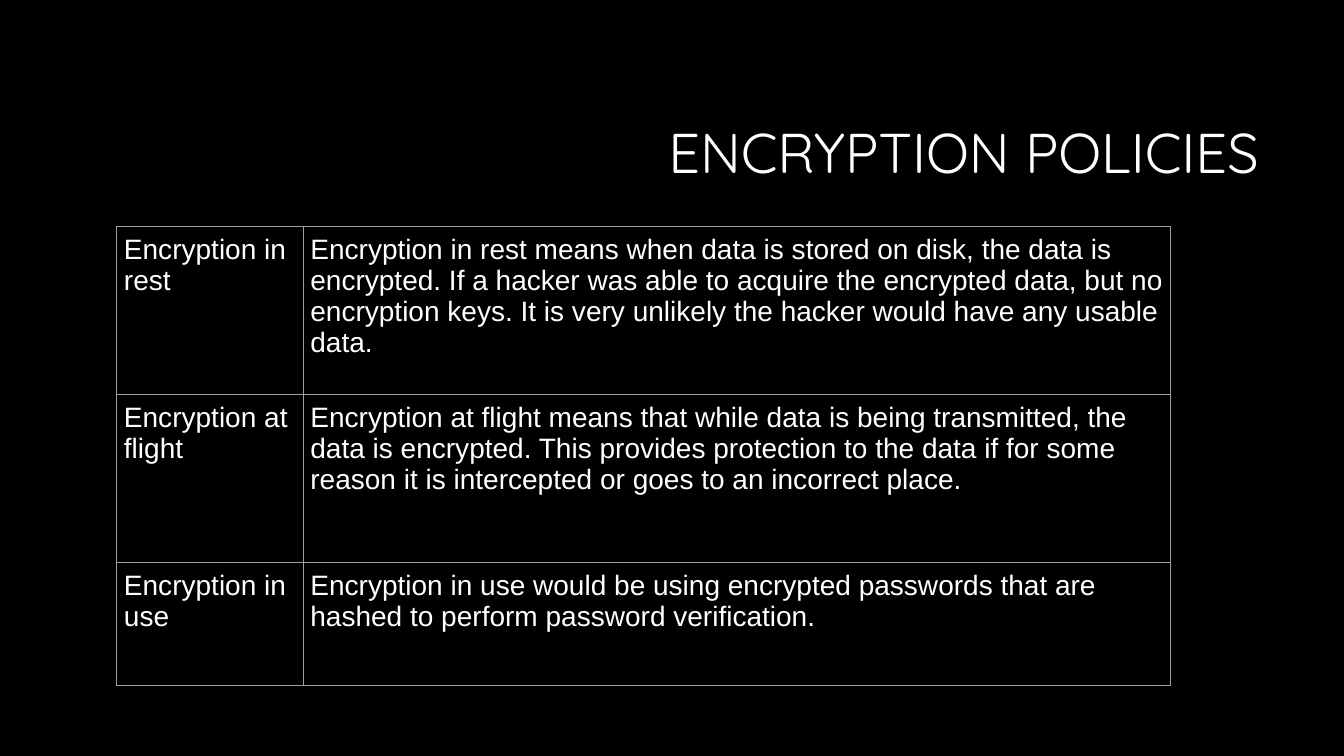
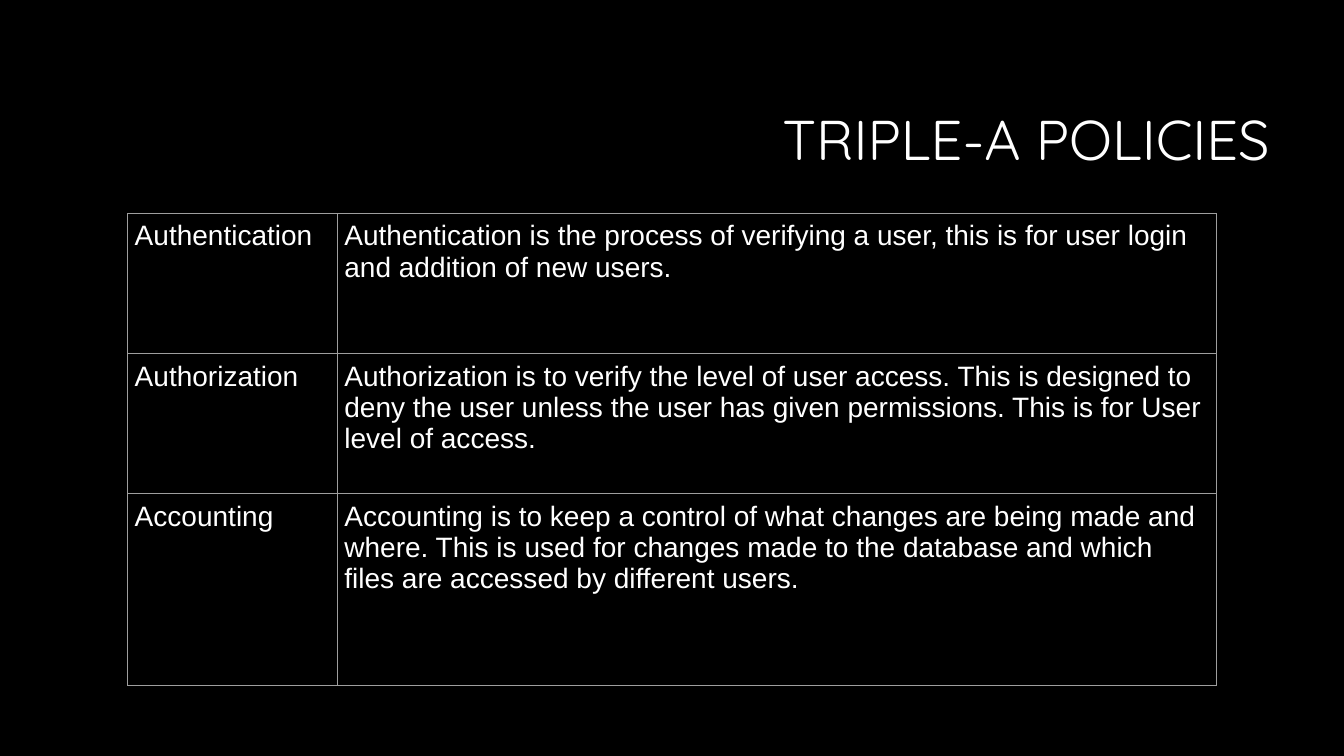
"""Build two policy slides, each with a title and a two-column table."""
from dataclasses import dataclass

from lxml import etree
from pptx import Presentation
from pptx import util as u
from pptx.dml import color
from pptx.enum import text
from pptx.oxml import ns


@dataclass(frozen=True)
class Theme:
    """Colours, fonts and type sizes shared by the slides."""
    background: str = "000000"
    ink: str = "FFFFFF"
    border: str = "9E9E9E"
    border_width: int = u.Pt(0.75)
    title_font: str = "Quicksand"
    title_size: int = u.Pt(40)
    body_font: str = "Arial"
    body_size: int = u.Pt(20)
    cell_margin: int = u.Inches(0.07)


@dataclass(frozen=True)
class Box:
    """A region in EMU."""
    left: int
    top: int
    width: int
    height: int


THEME = Theme()
SLIDE_WIDTH, SLIDE_HEIGHT = u.Inches(13.33), u.Inches(7.5)
TABLE_BOTTOM = 90.67
TITLE_INDENT, TITLE_WIDTH, TITLE_HEIGHT = 15.05, 70.65, 18.8

POLICIES = [
    {
        "title": "ENCRYPTION POLICIES",
        "left": 8.7, "top": 30, "width": 78.42,
        "columns": (1.85, 8.61), "rows": (1.67, 1.67, 1.22),
        "entries": [
            ("Encryption in rest",
             "Encryption in rest means when data is stored on disk, the data is encrypted. "
             "If a hacker was able to acquire the encrypted data, but no encryption keys. "
             "It is very unlikely the hacker would have any usable data."),
            ("Encryption at flight",
             "Encryption at flight means that while data is being transmitted, the data is "
             "encrypted. This provides protection to the data if for some reason it is "
             "intercepted or goes to an incorrect place."),
            ("Encryption in use",
             "Encryption in use would be using encrypted passwords that are hashed to "
             "perform password verification."),
        ],
    },
    {
        "title": "TRIPLE-A POLICIES",
        "left": 9.5, "top": 28.25, "width": 81,
        "columns": (2.08, 8.72), "rows": (1.39, 1.39, 1.9),
        "entries": [
            ("Authentication",
             "Authentication is the process of verifying a user, this is for user login and "
             "addition of new users."),
            ("Authorization",
             "Authorization is to verify the level of user access. This is designed to deny "
             "the user unless the user has given permissions. This is for User level of "
             "access."),
            ("Accounting",
             "Accounting is to keep a control of what changes are being made and where. This "
             "is used for changes made to the database and which files are accessed by "
             "different users."),
        ],
    },
]


def percent_box(left, top, width, height):
    """Turn percentages of the slide into a box."""
    return Box(round(SLIDE_WIDTH * left / 100), round(SLIDE_HEIGHT * top / 100),
               round(SLIDE_WIDTH * width / 100), round(SLIDE_HEIGHT * height / 100))


def share_out(total, weights):
    """Split a length in proportion to the weights."""
    return [round(total * weight / sum(weights)) for weight in weights]


def style_runs(paragraph, font_name, size):
    """Give the runs of a paragraph their font, size and colour."""
    for run in paragraph.runs:
        run.font.name = font_name
        run.font.size = size
        run.font.color.rgb = color.RGBColor.from_string(THEME.ink)


def add_title(slide, box, title):
    """Place a right-aligned title, centred vertically in its box."""
    shape = slide.shapes.add_textbox(box.left, box.top, box.width, box.height)
    frame = shape.text_frame
    frame.word_wrap = True
    frame.vertical_anchor = text.MSO_ANCHOR.MIDDLE
    frame.text = title
    paragraph = frame.paragraphs[0]
    paragraph.alignment = text.PP_ALIGN.RIGHT
    paragraph.line_spacing = 0.9
    style_runs(paragraph, THEME.title_font, THEME.title_size)


def add_borders(cell):
    """Draw a thin line on all four sides of a cell."""
    properties = cell._tc.get_or_add_tcPr()
    for position, side in enumerate(("lnL", "lnR", "lnT", "lnB")):
        line = etree.Element(ns.qn(f"a:{side}"), w=str(THEME.border_width))
        fill = etree.SubElement(line, ns.qn("a:solidFill"))
        etree.SubElement(fill, ns.qn("a:srgbClr"), val=THEME.border)
        properties.insert(position, line)


def fill_cell(cell, words):
    """Write and style one table cell."""
    cell.text = words
    cell.fill.background()
    cell.margin_left = cell.margin_right = THEME.cell_margin
    cell.margin_top = cell.margin_bottom = THEME.cell_margin
    style_runs(cell.text_frame.paragraphs[0], THEME.body_font, THEME.body_size)
    add_borders(cell)


def add_policy_table(slide, box, policy):
    """Fill the box with a table of terms and explanations."""
    entries = policy["entries"]
    table = slide.shapes.add_table(len(entries), len(policy["columns"]),
                                   box.left, box.top, box.width, box.height).table
    table.first_row = table.horz_banding = False
    for column, width in zip(table.columns, share_out(box.width, policy["columns"])):
        column.width = width
    for row, height, entry in zip(table.rows, share_out(box.height, policy["rows"]), entries):
        row.height = height
        for cell, words in zip(row.cells, entry):
            fill_cell(cell, words)


def add_policy_slide(presentation, policy):
    """Add a slide whose title rests on top of its table."""
    slide = presentation.slides.add_slide(presentation.slide_layouts[6])
    background = slide.background.fill
    background.solid()
    background.fore_color.rgb = color.RGBColor.from_string(THEME.background)
    left, top = policy["left"], policy["top"]
    title_box = percent_box(left + TITLE_INDENT, top - TITLE_HEIGHT, TITLE_WIDTH, TITLE_HEIGHT)
    table_box = percent_box(left, top, policy["width"], TABLE_BOTTOM - top)
    add_title(slide, title_box, policy["title"])
    add_policy_table(slide, table_box, policy)


def main():
    """Build and save the presentation."""
    presentation = Presentation()
    presentation.slide_width, presentation.slide_height = SLIDE_WIDTH, SLIDE_HEIGHT
    for policy in POLICIES:
        add_policy_slide(presentation, policy)
    presentation.save("out.pptx")


main()
